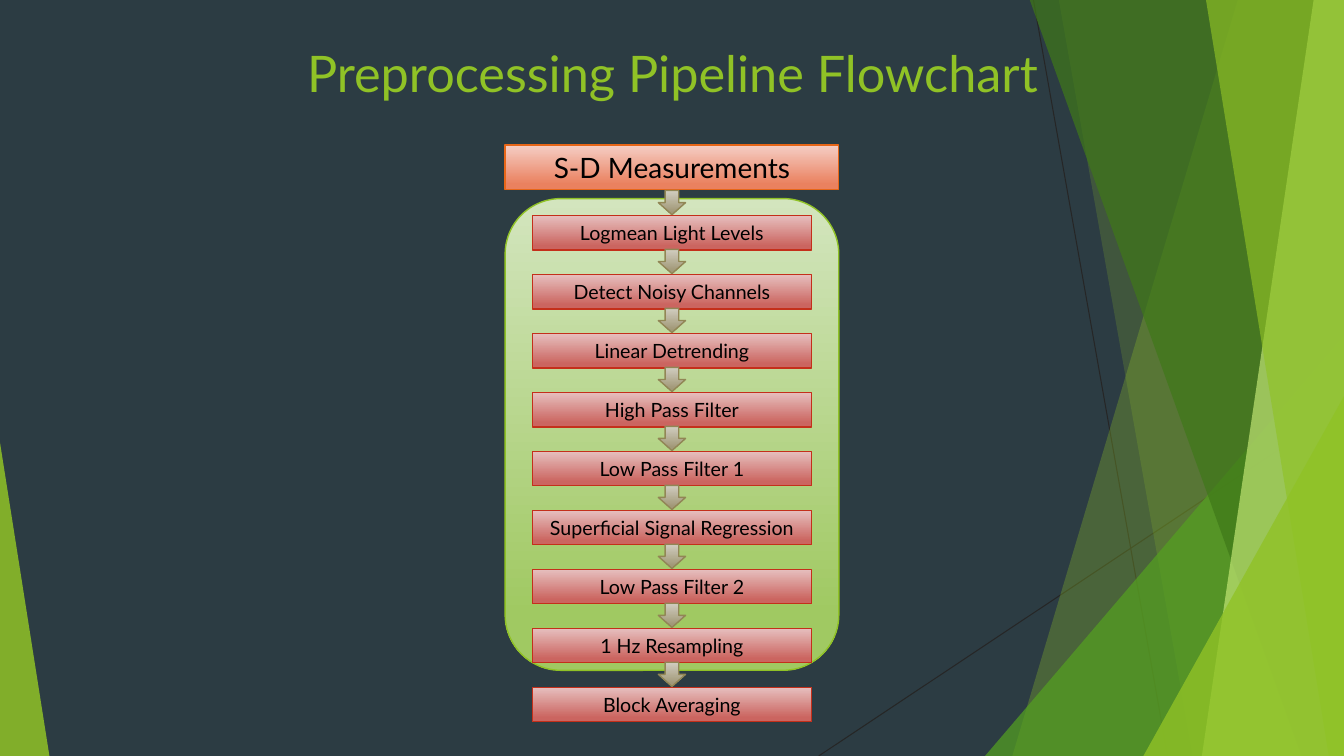
from lxml import etree
from pptx import Presentation
from pptx.dml.color import RGBColor
from pptx.enum.shapes import MSO_CONNECTOR as Connector, MSO_SHAPE as Preset
from pptx.enum.text import MSO_ANCHOR as Anchor, MSO_AUTO_SIZE as AutoSize, PP_ALIGN as Align
from pptx.oxml.ns import qn
from pptx.util import Inches, Pt

FONT = "Lato"
WIDTH, HEIGHT = 13.33, 7.5
STEPS = [
    "Logmean Light Levels", "Detect Noisy Channels", "Linear Detrending",
    "High Pass Filter", "Low Pass Filter 1", "Superficial Signal Regression",
    "Low Pass Filter 2", "1 Hz Resampling", "Block Averaging",
]
PANEL_STYLE = ("D3E5BE", "A0C962", "90C226")
SOURCE_STYLE = ("F5CEC5", "EA815F", "E76618")
STEP_STYLE = ("E6BFBE", "CB6560", "C42F1A")
ARROW_STYLE = ("D1CDC0", "A19877", "918655")


def color(value):
    return RGBColor.from_string(value)


def inches(*lengths):
    return [Inches(length) for length in lengths]


def format_text(text_frame, size, font_color):
    text_frame.word_wrap = True
    text_frame.vertical_anchor = Anchor.MIDDLE
    paragraph = text_frame.paragraphs[0]
    paragraph.alignment = Align.CENTER
    font = paragraph.runs[0].font
    font.name = FONT
    font.size = Pt(size)
    font.color.rgb = color(font_color)


def fill_translucent(shape, fill_color, opacity):
    shape.shadow.inherit = False
    shape.fill.solid()
    shape.fill.fore_color.rgb = color(fill_color)
    shape.line.fill.background()
    color_element = shape.element.spPr.find(qn("a:solidFill"))[0]
    etree.SubElement(color_element, qn("a:alpha")).set("val", str(opacity * 1000))


def add_gradient_shape(slide, preset, box, style):
    top_color, bottom_color, line_color = style
    shape = slide.shapes.add_shape(preset, *inches(*box))
    shape.shadow.inherit = False
    shape.fill.gradient()
    shape.fill.gradient_angle = 270
    stops = zip(shape.fill.gradient_stops, (0, 0.88), (top_color, bottom_color))
    for stop, position, stop_color in stops:
        stop.position = position
        stop.color.rgb = color(stop_color)
    shape.line.color.rgb = color(line_color)
    shape.line.width = Pt(1)
    return shape


def add_label_box(slide, box, style, text, size):
    shape = add_gradient_shape(slide, Preset.RECTANGLE, box, style)
    shape.text_frame.text = text
    format_text(shape.text_frame, size, "000000")
    shape.text_frame.auto_size = AutoSize.SHAPE_TO_FIT_TEXT


def add_thin_line(slide, start, end):
    line = slide.shapes.add_connector(Connector.STRAIGHT, *inches(*start, *end))
    line.line.color.rgb = color("262626")
    line.line.width = Pt(0.75)
    etree.SubElement(line.element.spPr, qn("a:effectLst"))


def add_shard(slide, box, top_left, bottom_left, fill_color, opacity):
    left, top, width, height = box
    right, bottom = left + width, top + height
    corners = [(right, top), (right, bottom), (bottom_left, bottom)]
    builder = slide.shapes.build_freeform(*inches(top_left, top), scale=1.0)
    builder.add_line_segments([inches(*corner) for corner in corners], close=True)
    fill_translucent(builder.convert_to_shape(), fill_color, opacity)


def add_corner_triangle(slide, box, apex, fill_color, opacity):
    shape = slide.shapes.add_shape(Preset.ISOSCELES_TRIANGLE, *inches(*box))
    shape.adjustments[0] = apex
    fill_translucent(shape, fill_color, opacity)


def add_decoration(slide, box):
    left, top, width, height = box
    right, bottom = left + width, top + height
    shard_box = (left, top - 0.01, width, height + 0.01)
    add_thin_line(slide, (10.25, top), (11.58, bottom))
    add_thin_line(slide, (right, 4.03), (8.12, bottom))
    add_shard(slide, shard_box, 12.28, 10.04, "90C226", 30)
    add_shard(slide, shard_box, 10.5, 11.83, "90C226", 20)
    add_corner_triangle(slide, (right - 3.56, bottom - 4.17, 3.56, 4.17), 1, "54A021", 72)
    add_shard(slide, shard_box, 10.21, 12.91, "3F7819", 70)
    add_shard(slide, shard_box, 13.03, 11.92, "C0E474", 70)
    add_shard(slide, shard_box, 11.96, 13.18, "90C226", 65)
    add_corner_triangle(slide, (right - 1.99, bottom - 3.57, 1.99, 3.57), 1, "90C226", 80)
    add_corner_triangle(slide, (left, bottom - 3.11, 0.49, 3.11), 0, "90C226", 85)


def add_title(slide, box):
    title = slide.shapes.title
    title.left, title.top, title.width, title.height = inches(*box)
    title.text_frame.text = "Preprocessing Pipeline Flowchart"
    format_text(title.text_frame, 36, "90C226")
    title.element.getparent().append(title.element)


def add_flowchart(slide, box):
    left, top, width, height = box
    step_width, step_height, arrow_width, arrow_height = 2.77, 0.34, 0.27, 0.24
    step_left = left + (width - step_width) / 2
    arrow_left = left + (width - arrow_width) / 2
    first_step = top + 0.7
    pitch = (height - 0.7 - step_height) / (len(STEPS) - 1)

    add_gradient_shape(slide, Preset.ROUNDED_RECTANGLE,
                       (left, top + 0.53, width, 4.68), PANEL_STYLE)
    add_label_box(slide, (left, top, width, 0.44), SOURCE_STYLE, "S-D Measurements", 20)
    for index, step in enumerate(STEPS):
        step_top = first_step + index * pitch
        add_label_box(slide, (step_left, step_top, step_width, step_height),
                      STEP_STYLE, step, 14)
        add_gradient_shape(slide, Preset.DOWN_ARROW,
                           (arrow_left, step_top - 0.25, arrow_width, arrow_height),
                           ARROW_STYLE)


def main():
    presentation = Presentation()
    presentation.slide_width, presentation.slide_height = inches(WIDTH, HEIGHT)
    slide = presentation.slides.add_slide(presentation.slide_layouts[5])
    slide.background.fill.solid()
    slide.background.fill.fore_color.rgb = color("2C3C43")
    add_decoration(slide, (0, 0, WIDTH, HEIGHT))
    add_title(slide, (1.97, 0, 9.4, 1.44))
    add_flowchart(slide, (5.01, 1.44, 3.31, 5.72))
    presentation.save("out.pptx")


if __name__ == "__main__":
    main()
